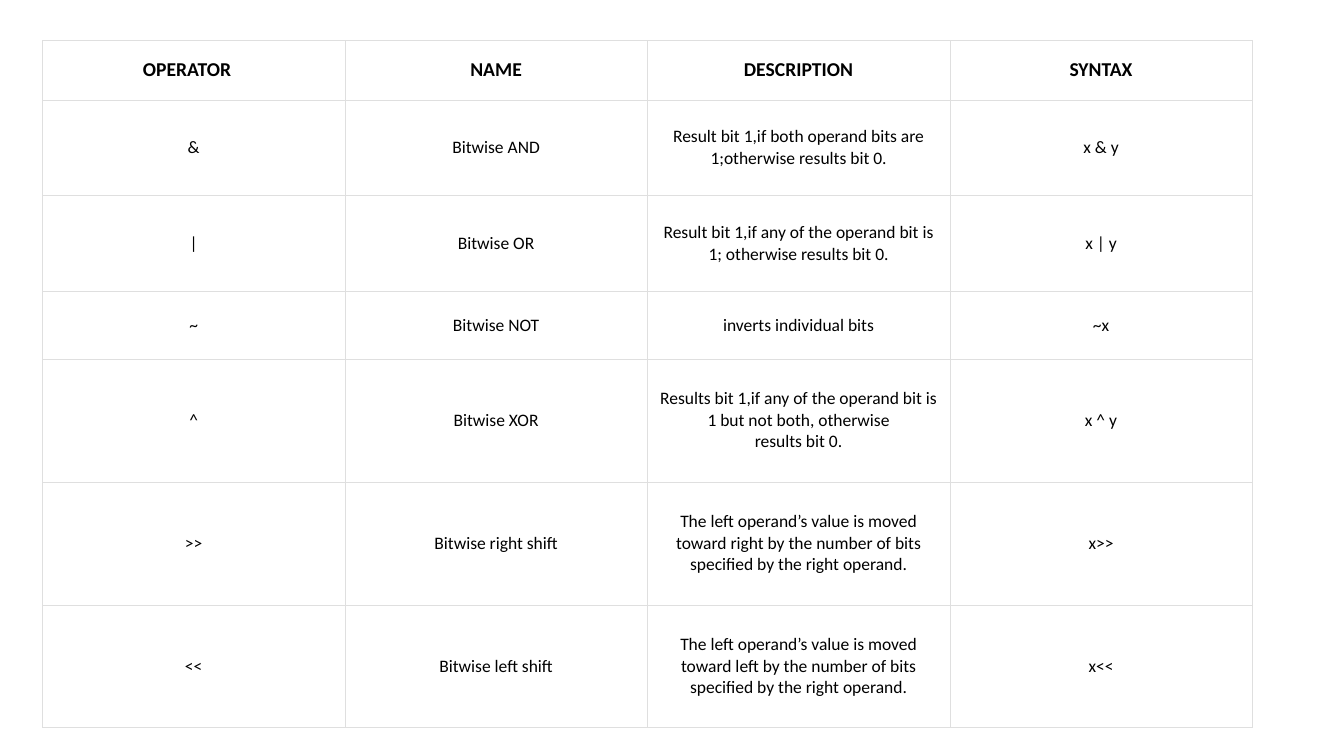
from dataclasses import dataclass

from lxml.etree import SubElement
from pptx import Presentation
from pptx.dml.color import RGBColor
from pptx.enum.text import MSO_ANCHOR, PP_ALIGN
from pptx.oxml.ns import qn
from pptx.util import Inches, Pt


@dataclass(frozen=True)
class Theme:
    font: str = "Calibri"
    text: str = "000000"
    fill: str = "FFFFFF"
    border: str = "DFDFDF"
    border_pt: float = 0.23
    header_pt: float = 14
    body_pt: float = 12.5


THEME = Theme()
BLANK_LAYOUT = 6
COLUMN_WIDTH = 3
ROW_HEIGHTS = [0.59, 0.95, 0.95, 0.67, 1.22, 1.22, 1.22]
HEADERS = ["OPERATOR", "NAME", "DESCRIPTION", "SYNTAX"]
OPERATORS = [
    ["&", "Bitwise AND",
     "Result bit 1,if both operand bits are 1;otherwise results bit 0.", "x & y"],
    ["|", "Bitwise OR",
     "Result bit 1,if any of the operand bit is 1; otherwise results bit 0.", "x | y"],
    ["~", "Bitwise NOT", "inverts individual bits", "~x"],
    ["^", "Bitwise XOR",
     "Results bit 1,if any of the operand bit is 1 but not both, otherwise\n"
     "results bit 0.", "x ^ y"],
    [">>", "Bitwise right shift",
     "The left operand’s value is moved toward right by the number of bits\n"
     "specified by the right operand.", "x>>"],
    ["<<", "Bitwise left shift",
     "The left operand’s value is moved toward left by the number of bits\n"
     "specified by the right operand.", "x<<"],
]


def write_text(tf, text, *, size, bold=False, color=THEME.text, align=PP_ALIGN.CENTER):
    """Write one paragraph for each line of text."""
    for i, line in enumerate(text.split("\n")):
        p = tf.paragraphs[0] if i == 0 else tf.add_paragraph()
        p.alignment = align
        r = p.add_run()
        r.text = line
        r.font.name = THEME.font
        r.font.size = Pt(size)
        r.font.bold = bold
        r.font.color.rgb = RGBColor.from_string(color)


def add_borders(cell):
    tc_pr = cell._tc.get_or_add_tcPr()
    for side in ("lnL", "lnR", "lnT", "lnB"):
        ln = SubElement(tc_pr, qn(f"a:{side}"), w=str(Pt(THEME.border_pt)))
        SubElement(SubElement(ln, qn("a:solidFill")), qn("a:srgbClr"), val=THEME.border)


def format_cell(cell, *, side_margin, end_margin):
    add_borders(cell)
    cell.fill.solid()
    cell.fill.fore_color.rgb = RGBColor.from_string(THEME.fill)
    cell.vertical_anchor = MSO_ANCHOR.MIDDLE
    cell.margin_left = cell.margin_right = Inches(side_margin)
    cell.margin_top = cell.margin_bottom = Inches(end_margin)


def add_operator_table(s, left, top):
    rows = [HEADERS, *OPERATORS]
    frame = s.shapes.add_table(len(rows), len(HEADERS), Inches(left), Inches(top),
                               Inches(COLUMN_WIDTH * len(HEADERS)),
                               Inches(sum(ROW_HEIGHTS)))
    table = frame.table
    table.first_row = table.horz_banding = False
    for column in table.columns:
        column.width = Inches(COLUMN_WIDTH)
    for i, (values, height) in enumerate(zip(rows, ROW_HEIGHTS)):
        header = i == 0
        table.rows[i].height = Inches(height)
        for cell, value in zip(table.rows[i].cells, values):
            format_cell(cell, side_margin=0.1, end_margin=0.1 if header else 0.15)
            write_text(cell.text_frame, value, bold=header,
                       size=THEME.header_pt if header else THEME.body_pt)
    # The first heading sits slightly left of its column's centre.
    first = table.cell(0, 0)
    first.margin_left, first.margin_right = Inches(0.04), Inches(0.17)


def main():
    prs = Presentation()
    prs.slide_width, prs.slide_height = Inches(13.33), Inches(7.5)
    s = prs.slides.add_slide(prs.slide_layouts[BLANK_LAYOUT])
    add_operator_table(s, 0.42, 0.4)
    prs.save("out.pptx")


if __name__ == "__main__":
    main()
